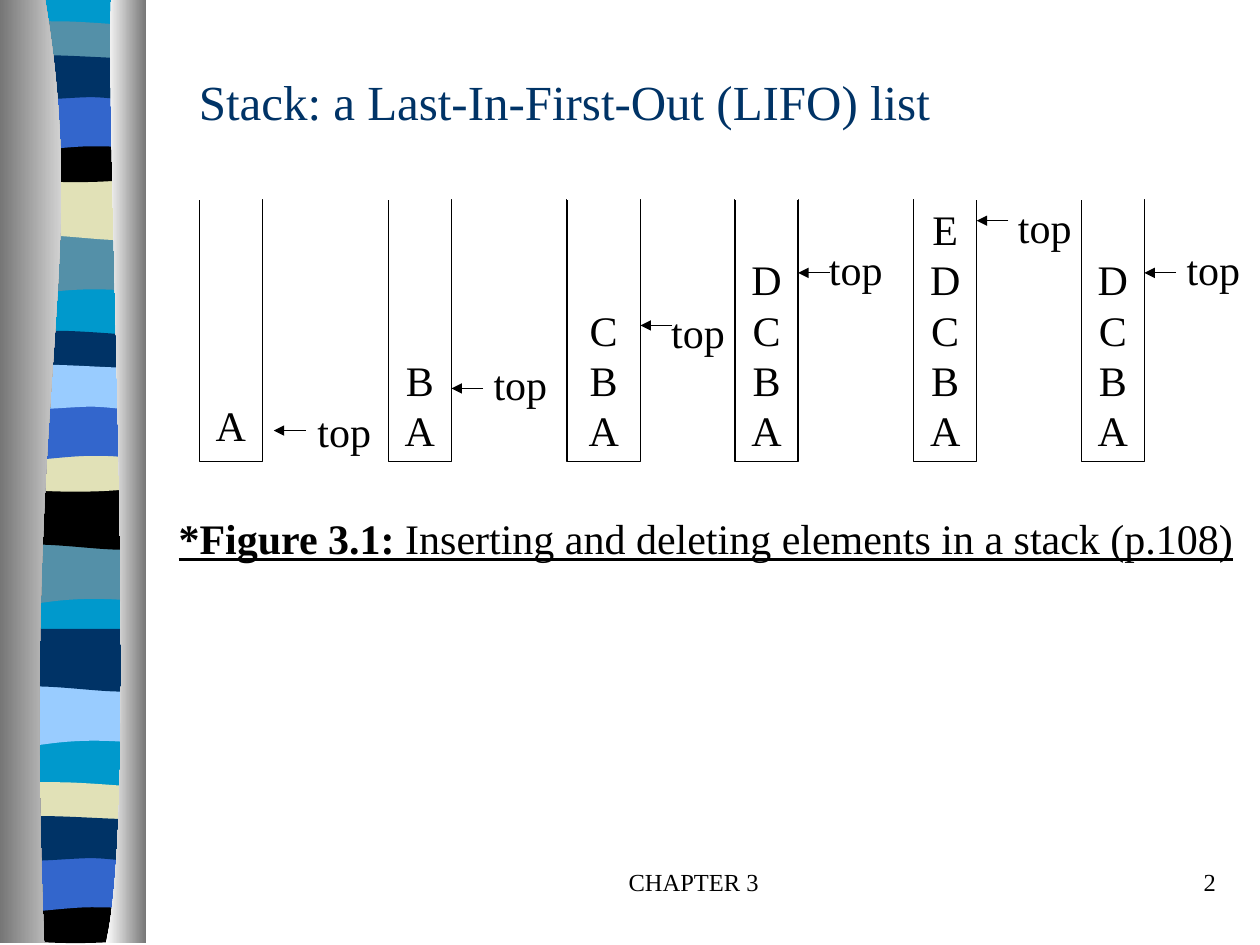
from collections import namedtuple
from dataclasses import dataclass

import pptx
import pptx.dml.color
import pptx.enum.shapes
import pptx.enum.text
import pptx.oxml
import pptx.oxml.ns
import pptx.util
from pptx.util import Cm

Stack = namedtuple("Stack", "left width letters lift gap arrow_y label_x label_y")
Band = namedtuple("Band", "start steps colours")
ALIGN = pptx.enum.text.PP_ALIGN
ANCHOR = pptx.enum.text.MSO_ANCHOR


@dataclass(frozen=True)
class Theme:
    """Hold the colours, font and type sizes of the slide."""
    font: str = "Times New Roman"
    ink: str = "000000"
    paper: str = "FFFFFF"
    navy: str = "003366"
    blue: str = "3366CC"
    sky: str = "99CCFF"
    teal: str = "0099CC"
    slate: str = "5490A8"
    sand: str = "E1E1B7"
    grey: str = "767676"
    title: int = 28
    body: int = 24
    footer: int = 14
    line: float = 0.75
    leading: float = 28.8


THEME = Theme()
STACK_TOP, STACK_HEIGHT, ARROW_LENGTH = 4.02, 5.29, 0.64
STACKS = [
    Stack(4.02, 1.27, "A", 0.25, 0.23, 8.68, 6.15, 8.05),
    Stack(7.83, 1.27, "BA", 0.13, 0, 7.83, 9.7, 7.11),
    Stack(11.43, 1.48, "CBA", 0.13, 0, 6.56, 13.28, 6.05),
    Stack(14.82, 1.27, "DCBA", 0.13, 0, 5.5, 16.46, 4.78),
    Stack(18.42, 1.27, "EDCBA", 0.13, 0, 4.45, 20.27, 3.94),
    Stack(21.8, 1.27, "DCBA", 0.13, 0, 5.5, 23.67, 4.78),
]

TILE_SHIFTS = (0, 6.24, 9.1, 15.34)
BANDS = [
    Band((2.9, 4.7), [(2.9, 5.89), (0.99, 5.69, 0.61, 6.1, 0.13, 5.89), (0.13, 4.7)],
         (THEME.slate, THEME.slate, THEME.sky, None)),
    Band((2.9, 3.58), [(2.9, 4.78), (2.44, 4.98, 0.99, 4.62, 0.15, 4.78), (0.15, 3.58)],
         (THEME.sand, THEME.ink, THEME.navy, None)),
    Band((2.9, 0.53), [(2.9, 1.14), (2.44, 1.27, 0.61, 1.27, 0.13, 1.14), (0.13, 0.53),
                       (0.3, 0.41, 0.74, 0.43, 1.19, 0.43), (1.65, 0.43, 2.54, 0.51, 2.9, 0.53)],
         (THEME.slate, THEME.navy, None, THEME.sand)),
    Band((2.9, 2.74), [(2.9, 3.56), (2.44, 3.71, 0.61, 3.71, 0.13, 3.56), (0.13, 2.74),
                       (1.83, 2.87, 2.31, 2.74, 2.9, 2.74)],
         (THEME.ink, THEME.sand, None, THEME.ink)),
    Band((2.9, 1.88), [(2.9, 3.07), (2.46, 2.95, 2.29, 2.95, 1.83, 2.95),
                       (1.37, 2.95, 0.56, 3.07, 0.13, 3.07), (0.13, 1.88)],
         (THEME.blue, THEME.blue, None, THEME.blue)),
    Band((2.9, 1.17), [(2.9, 1.96), (2.72, 2.08, 2.29, 1.96, 1.83, 1.96),
                       (1.37, 1.96, 0.43, 2.08, 0.13, 1.96), (0.13, 1.17),
                       (0.53, 1.04, 2, 1.17, 2.46, 1.17)],
         (THEME.navy, THEME.sky, None, THEME.navy)),
]


def rgb(colour):
    """Return a colour object for a hexadecimal string."""
    return pptx.dml.color.RGBColor.from_string(colour)


def make_element(tag, attributes=""):
    """Return an empty drawing element."""
    return pptx.oxml.parse_xml(f'<a:{tag} {pptx.oxml.ns.nsdecls("a")} {attributes}/>')


def bend(shape, steps):
    """Turn the three line segments of each six-number step into one curve."""
    segments = iter(shape._element.spPr.findall(".//" + pptx.oxml.ns.qn("a:lnTo")))
    for step in steps:
        group = [next(segments) for _ in range(len(step) // 2)]
        if len(group) == 3:
            curve = make_element("cubicBezTo")
            group[0].addprevious(curve)
            for segment in group:
                curve.append(segment[0])
                segment.getparent().remove(segment)


def add_outline(page, start, steps, colours, shift=0):
    """Draw a closed outline with a plain fill or a left-to-right gradient."""
    points = [(Cm(x), Cm(y + shift)) for step in [start, *steps]
              for x, y in zip(step[::2], step[1::2])]
    builder = page.shapes.build_freeform(*points[0], scale=1.0)
    builder.add_line_segments(points[1:], close=True)
    shape = builder.convert_to_shape()
    bend(shape, steps)
    shape.shadow.inherit = False
    shape.line.fill.background()
    if len(colours) == 1:
        shape.fill.solid()
        shape.fill.fore_color.rgb = rgb(colours[0])
        return
    shape.fill.gradient()
    shape.fill.gradient_angle = 0
    for stop, colour in zip(shape.fill.gradient_stops, colours):
        stop.color.rgb = rgb(colour)


def add_ribbon(page):
    """Draw the wavy coloured ribbon between two shaded columns."""
    add_outline(page, (2.9, 0), [(2.9, 18.97), (0.13, 18.97), (0.13, 0)], [THEME.teal])
    for tile, shift in enumerate(TILE_SHIFTS):
        for band in BANDS:
            if band.colours[tile]:
                add_outline(page, band.start, band.steps, [band.colours[tile]], shift)
    add_outline(page, (0.91, 0), [(1.83, 5.49, 0.43, 7.52, 0.89, 19.02), (0, 19.02), (0, 0)],
                [THEME.grey, THEME.paper])
    add_outline(page, (2.24, 0), [(2.13, 3.18, 2.82, 16.41, 2.13, 19.02), (2.95, 19.02), (2.95, 0)],
                [THEME.paper, THEME.grey])


def style_span(span, size, colour):
    """Set the font, size and colour of a run."""
    span.font.name = THEME.font
    span.font.size = pptx.util.Pt(size)
    span.font.color.rgb = rgb(colour)


def add_text(page, left, top, width, height, text, size, colour=THEME.ink, align=ALIGN.LEFT, wrap=False):
    """Add a one-line text box and return its paragraph."""
    box = page.shapes.add_textbox(Cm(left), Cm(top), Cm(width), Cm(height))
    box.text_frame.word_wrap = wrap
    para = box.text_frame.paragraphs[0]
    para.text = text
    para.alignment = align
    style_span(para.runs[0], size, colour)
    return para


def add_line(page, start, end, colour, arrow=False):
    """Draw a straight line, with an arrowhead at its end if wanted."""
    line = page.shapes.add_connector(pptx.enum.shapes.MSO_CONNECTOR.STRAIGHT,
                                     Cm(start[0]), Cm(start[1]), Cm(end[0]), Cm(end[1]))
    line.line.color.rgb = rgb(colour)
    line.line.width = pptx.util.Pt(THEME.line)
    if arrow:
        line.line._get_or_add_ln().append(make_element("tailEnd", 'type="triangle"'))
    line._element.spPr.append(make_element("effectLst"))


def add_stack(page, stack):
    """Draw an open-topped stack with its letters, arrow and label."""
    box = page.shapes.add_shape(pptx.enum.shapes.MSO_SHAPE.RECTANGLE, Cm(stack.left), Cm(STACK_TOP),
                                Cm(stack.width), Cm(STACK_HEIGHT))
    box.shadow.inherit = False
    box.fill.background()
    box.line.color.rgb = rgb(THEME.ink)
    box.line.width = pptx.util.Pt(THEME.line)
    frame = box.text_frame
    frame.word_wrap = False
    frame.vertical_anchor = ANCHOR.BOTTOM
    frame.margin_bottom = Cm(stack.lift)
    frame.text = "\n".join(stack.letters)
    for para in frame.paragraphs:
        para.alignment = ALIGN.CENTER
        para.line_spacing = pptx.util.Pt(THEME.leading)
        style_span(para.runs[0], THEME.body, THEME.ink)
    right = stack.left + stack.width
    tip = right + stack.gap
    add_line(page, (stack.left, STACK_TOP), (right, STACK_TOP), THEME.paper)
    add_line(page, (tip + ARROW_LENGTH, stack.arrow_y), (tip, stack.arrow_y), THEME.ink, arrow=True)
    add_text(page, stack.label_x, stack.label_y, 1.6, 1.27, "top", THEME.body)


def add_caption(page):
    """Add the underlined figure caption with its bold number."""
    para = add_text(page, 3.35, 10.21, 21.77, 1.27, "*Figure 3.1: ", THEME.body)
    para.runs[0].font.bold = True
    span = para.add_run()
    span.text = "Inserting and deleting elements in a stack (p.108)"
    style_span(span, THEME.body, THEME.ink)
    for span in para.runs:
        span.font.underline = True


def main():
    """Build the slide and save it."""
    deck = pptx.Presentation()
    deck.slide_width, deck.slide_height = Cm(25.4), Cm(19.05)
    page = deck.slides.add_slide(deck.slide_layouts[6])
    add_ribbon(page)
    add_text(page, 3.76, 1.32, 15.67, 1.45, "Stack: a Last-In-First-Out (LIFO) list", THEME.title, THEME.navy)
    for stack in STACKS:
        add_stack(page, stack)
    add_caption(page)
    add_text(page, 9.96, 17.35, 8.05, 1.27, "CHAPTER 3", THEME.footer, align=ALIGN.CENTER, wrap=True)
    add_text(page, 19.48, 17.35, 5.28, 1.27, "2", THEME.footer, align=ALIGN.RIGHT, wrap=True)
    deck.save("out.pptx")


if __name__ == "__main__":
    main()
